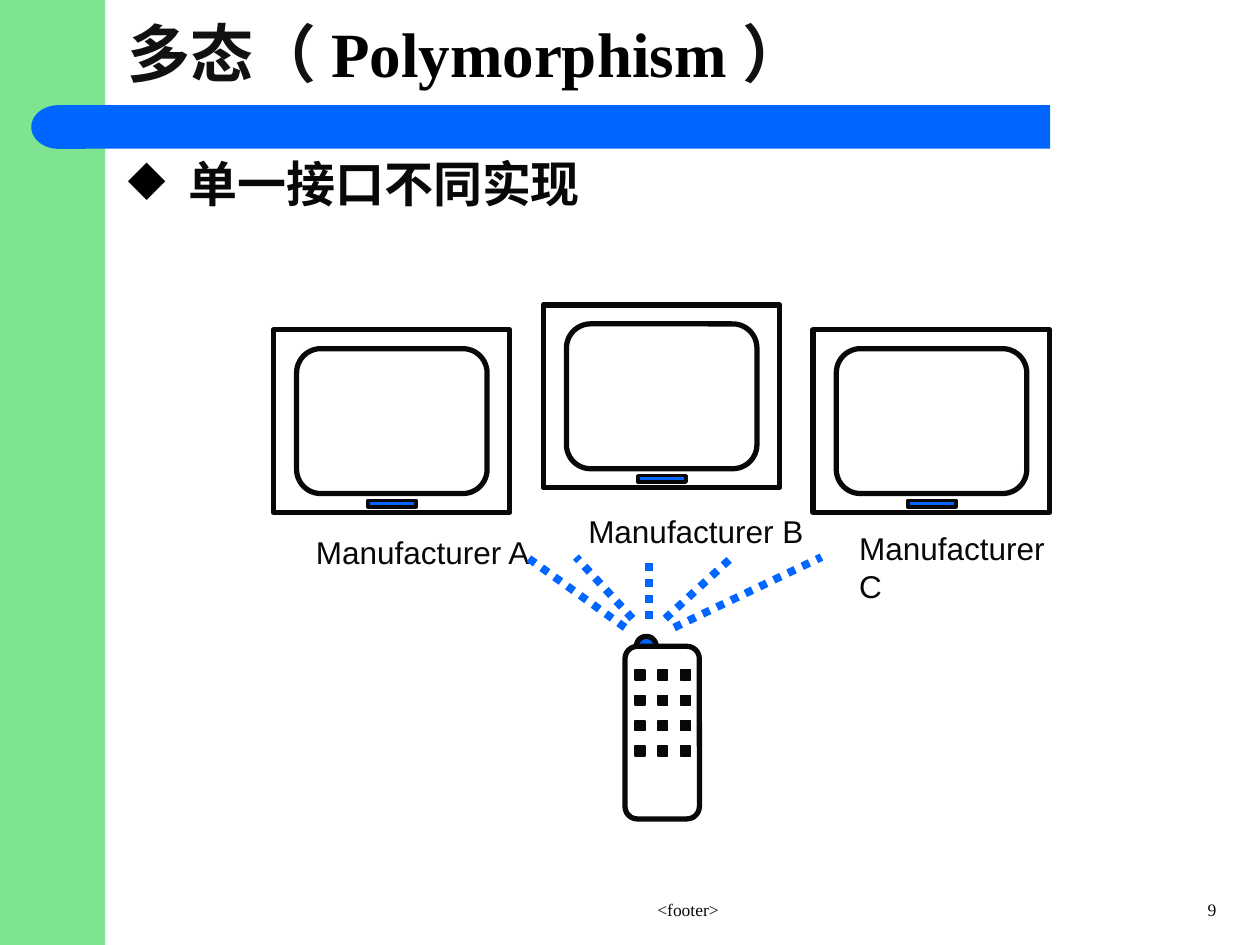
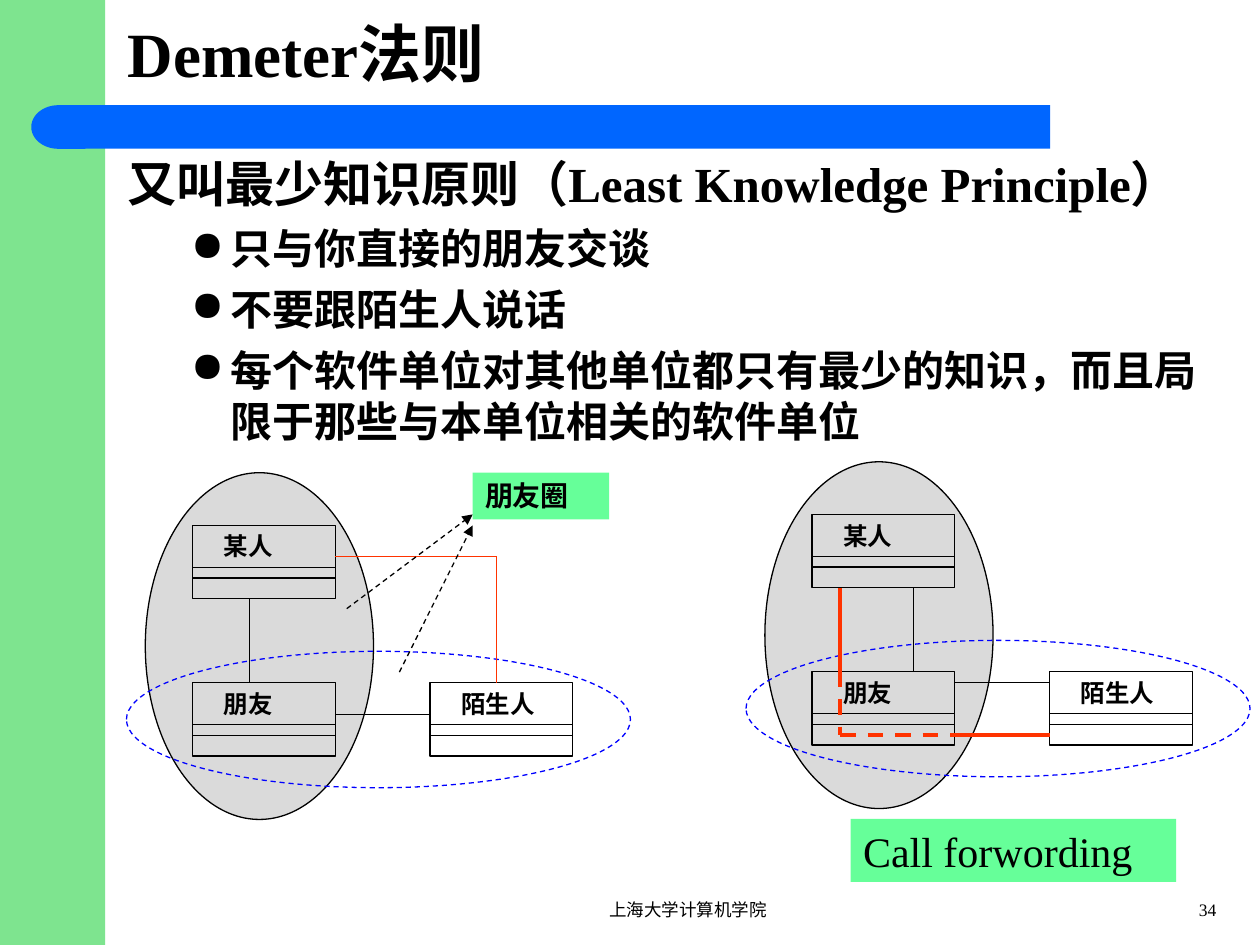
import math

import lxml.etree
import pptx
import pptx.dml.color
import pptx.enum.dml
import pptx.enum.shapes
import pptx.enum.text
import pptx.oxml.ns
import pptx.util

Cm = pptx.util.Cm
Pt = pptx.util.Pt
SHAPE = pptx.enum.shapes.MSO_SHAPE
ALIGN = pptx.enum.text.PP_ALIGN
ANCHOR = pptx.enum.text.MSO_ANCHOR
DASH = pptx.enum.dml.MSO_LINE

COLORS = {
    "black": "000000",
    "ink": "080808",
    "title": "111111",
    "side": "7EE48F",
    "blue": "0066FF",
    "gray": "DADADA",
    "red": "FF3300",
    "scope": "0000FF",
    "label": "66FF99",
}
SERIF = "Times New Roman"
SANS = "Arial"


def rgb(name):
    return pptx.dml.color.RGBColor.from_string(COLORS[name])


def add_xml(parent, tag, **attrs):
    return lxml.etree.SubElement(parent, pptx.oxml.ns.qn(tag), **attrs)


def style(sp, fill=None, line=None, width=0.75, dash=None):
    sp.shadow.inherit = False
    if fill:
        sp.fill.solid()
        sp.fill.fore_color.rgb = rgb(fill)
    else:
        sp.fill.background()
    if line:
        sp.line.color.rgb = rgb(line)
        sp.line.width = Pt(width)
        if dash:
            sp.line.dash_style = dash
    else:
        sp.line.fill.background()


def shape(s, kind, x, y, w, h, **look):
    sp = s.shapes.add_shape(kind, Cm(x), Cm(y), Cm(w), Cm(h))
    style(sp, **look)
    return sp


def connect(s, x1, y1, x2, y2, color="black", width=0.75, dash=None, arrow=False):
    c = s.shapes.add_connector(pptx.enum.shapes.MSO_CONNECTOR.STRAIGHT,
                               Cm(x1), Cm(y1), Cm(x2), Cm(y2))
    c.line.color.rgb = rgb(color)
    c.line.width = Pt(width)
    if dash:
        c.line.dash_style = dash
    if arrow:
        add_xml(c.line._get_or_add_ln(), "a:tailEnd", type="triangle")
    add_xml(c._element.spPr, "a:effectLst")


def write(p, text, size=14, font=SERIF, color="black", bold=False, align=None,
          before=0, bullet=None, left=0, hang=0, level=0):
    p.level = level
    if align:
        p.alignment = align
    if before:
        p.space_before = Pt(before)
    if bullet:
        pPr = p._p.get_or_add_pPr()
        pPr.set("marL", str(Cm(left)))
        pPr.set("indent", str(-Cm(hang)))
        add_xml(add_xml(pPr, "a:buClr"), "a:srgbClr", val=COLORS["black"])
        add_xml(pPr, "a:buChar", char=bullet)
    runs = [(text, color)] if isinstance(text, str) else text
    for part, part_color in runs:
        r = p.add_run()
        r.text = part
        r.font.size = Pt(size)
        r.font.name = font
        r.font.bold = bold
        r.font.color.rgb = rgb(part_color)


def text_box(s, x, y, w, h, text, anchor=ANCHOR.TOP, wrap=True, fill=None, **fmt):
    sp = s.shapes.add_textbox(Cm(x), Cm(y), Cm(w), Cm(h))
    if fill:
        sp.fill.solid()
        sp.fill.fore_color.rgb = rgb(fill)
    tf = sp.text_frame
    tf.word_wrap = wrap
    tf.vertical_anchor = anchor
    write(tf.paragraphs[0], text, **fmt)
    return tf


def base_slide(prs, title, footer, number, color):
    s = prs.slides.add_slide(prs.slide_layouts[6])
    shape(s, SHAPE.RECTANGLE, 0, 0, 2.12, 19.05, fill="side")
    shape(s, SHAPE.RECTANGLE, 1.7, 2.12, 19.47, 0.88, fill="blue")
    shape(s, SHAPE.FLOWCHART_DELAY, 0.63, 2.12, 1.09, 0.88, fill="blue").rotation = 180
    text_box(s, 2.33, 0, 22.02, 2.12, title, anchor=ANCHOR.MIDDLE, size=36, bold=True)
    text_box(s, 9.53, 17.99, 8.68, 0.64, footer, size=10, color=color, align=ALIGN.CENTER)
    text_box(s, 22.86, 17.99, 1.91, 0.64, number, size=10, color=color, align=ALIGN.RIGHT)
    return s


def television(s, x, y):
    shape(s, SHAPE.RECTANGLE, x, y, 4.77, 3.68, line="ink", width=3)
    shape(s, SHAPE.ROUNDED_RECTANGLE, x + 0.47, y + 0.38, 3.84, 2.92, line="ink", width=3)
    shape(s, SHAPE.RECTANGLE, x + 1.91, y + 3.44, 0.97, 0.13, fill="blue", line="ink", width=2)


def remote_control(s):
    cx, cy, radius = 13.03, 13.03, 0.2
    arc = [(Cm(cx - radius * math.cos(math.radians(a))),
            Cm(cy - radius * math.sin(math.radians(a)))) for a in range(0, 181, 10)]
    fb = s.shapes.build_freeform(*arc[0])
    fb.add_line_segments(arc[1:], close=False)
    style(fb.convert_to_shape(), fill="blue", line="ink", width=3)
    shape(s, SHAPE.ROUNDED_RECTANGLE, 12.6, 13.03, 1.5, 3.48, line="ink", width=3)
    for row in range(4):
        for col in range(3):
            shape(s, SHAPE.RECTANGLE, 12.8 + 0.46 * col, 13.51 + 0.51 * row, 0.2, 0.2,
                  fill="ink", line="ink", width=1)


def class_box(s, x, y, name):
    shape(s, SHAPE.RECTANGLE, x, y, 2.88, 1.48, line="black")
    for dy in (0.85, 1.06):
        connect(s, x, y + dy, x + 2.88, y + dy)
    text_box(s, x + 0.38, y, 2.12, 0.86, name, bold=True)


def friend_circle(s, x, y, links):
    shape(s, SHAPE.OVAL, x, y, 4.6, 6.99, fill="gray", line="black")
    for dx, dy, name in ((0.95, 1.06, "某人"), (0.95, 4.23, "朋友"), (5.74, 4.23, "陌生人")):
        class_box(s, x + dx, y + dy, name)
    shape(s, SHAPE.OVAL, x - 0.38, y + 3.6, 10.16, 2.75, line="scope", dash=DASH.DASH)
    for x1, y1, x2, y2, look in links:
        connect(s, x + x1, y + y1, x + x2, y + y2, **look)


def polymorphism_slide(prs):
    title = [("多态（ ", "title"), ("Polymorphism ", "black"), ("）", "title")]
    s = base_slide(prs, title, "<footer>", "9", "ink")
    text_box(s, 2.33, 2.97, 22.66, 14.6, "单一接口不同实现", size=28, bold=True,
             color="ink", bullet="◆", left=1.22, hang=1.22)
    remote_control(s)
    for i, y in enumerate((6.65, 6.15, 6.65)):
        television(s, 5.51 + 5.44 * i, y)
    for x, y, maker in ((6.12, 10.62, "A"), (11.61, 10.19, "B"), (17.07, 10.54, "C")):
        text_box(s, x, y, 4.86, 1.02, f"Manufacturer {maker}", wrap=False,
                 size=18, font=SANS, color="ink")
    beams = ((12.6, 12.65, 10.62), (12.75, 12.47, 11.61), (13.08, 12.47, 13.08),
             (13.41, 12.47, 14.76), (13.59, 12.65, 16.56))
    for x1, y1, x2 in beams:
        connect(s, x1, y1, x2, 11.23, color="blue", width=4.5, dash=DASH.ROUND_DOT)


def demeter_slide(prs):
    s = base_slide(prs, "Demeter法则", "上海大学计算机学院", "34", "black")
    tf = text_box(s, 2.33, 2.97, 22.66, 6.35,
                  "又叫最少知识原则（Least Knowledge Principle）", size=28, bold=True)
    for rule in ("只与你直接的朋友交谈", "不要跟陌生人说话",
                 "每个软件单位对其他单位都只有最少的知识，而且局限于那些与本单位相关的软件单位"):
        write(tf.add_paragraph(), rule, size=24, bold=True, before=6, bullet="●",
              left=2.06, hang=0.79, level=1)
    direct = {"color": "red"}
    forward = {"color": "red", "width": 2.25}
    inner = {**forward, "dash": DASH.DASH}
    pointer = {"dash": DASH.DASH, "arrow": True}
    friend_circle(s, 15.42, 9.31, [
        (3, 2.54, 3, 4.23, {}),
        (3.83, 4.45, 5.74, 4.45, {}),
        (3.83, 5.5, 5.74, 5.5, forward),
        (1.52, 2.54, 1.52, 4.23, forward),
        (1.52, 4.23, 1.52, 5.5, inner),
        (1.52, 5.5, 3.83, 5.5, inner),
    ])
    friend_circle(s, 2.93, 9.53, [
        (2.1, 2.54, 2.1, 4.23, {}),
        (3.83, 4.87, 5.74, 4.87, {}),
        (3.83, 1.69, 7.08, 1.69, direct),
        (7.08, 1.69, 7.08, 4.23, direct),
        (4.06, 2.74, 6.6, 0.84, pointer),
        (5.12, 4.02, 6.6, 1.06, pointer),
    ])
    text_box(s, 9.53, 9.53, 2.75, 0.94, "朋友圈", fill="label", size=16, bold=True)
    text_box(s, 17.15, 16.51, 6.56, 1.27, "Call forwording", fill="label", size=24)


def main():
    prs = pptx.Presentation()
    prs.slide_width, prs.slide_height = Cm(25.4), Cm(19.05)
    polymorphism_slide(prs)
    demeter_slide(prs)
    prs.save("out.pptx")


if __name__ == "__main__":
    main()
